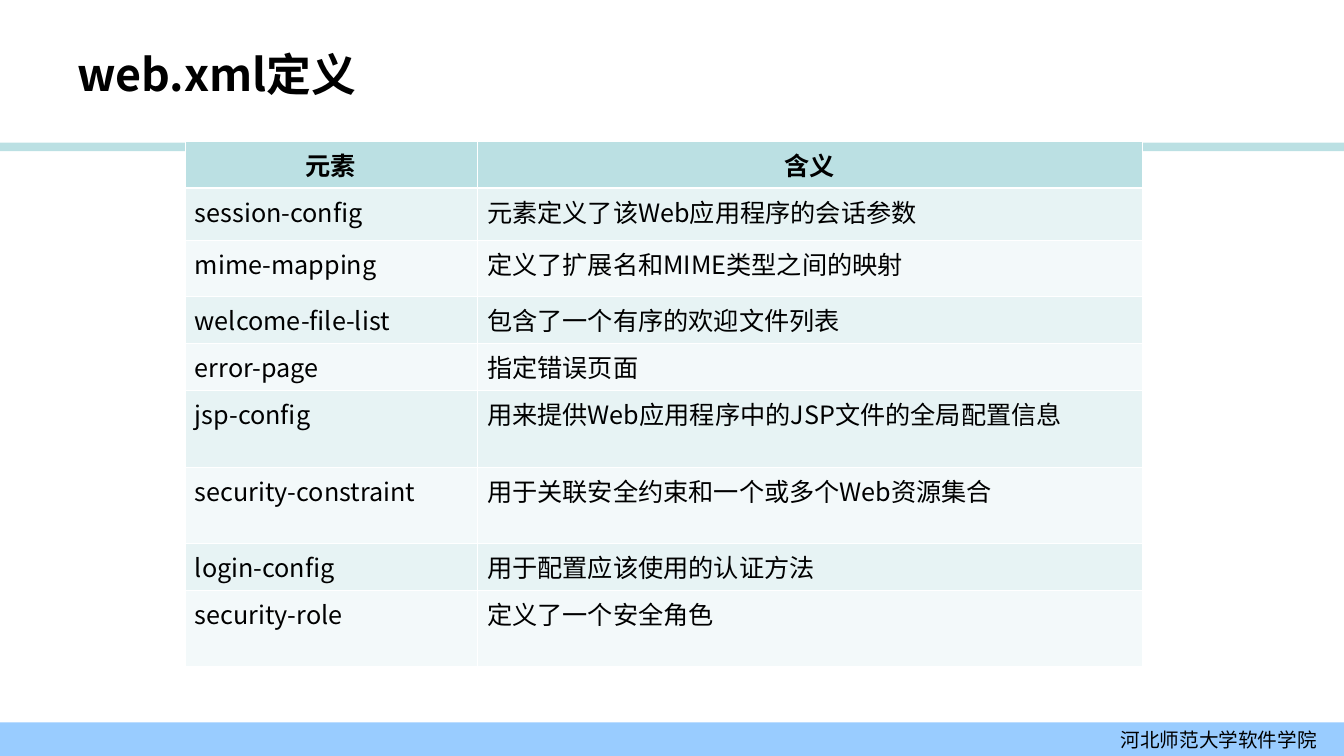
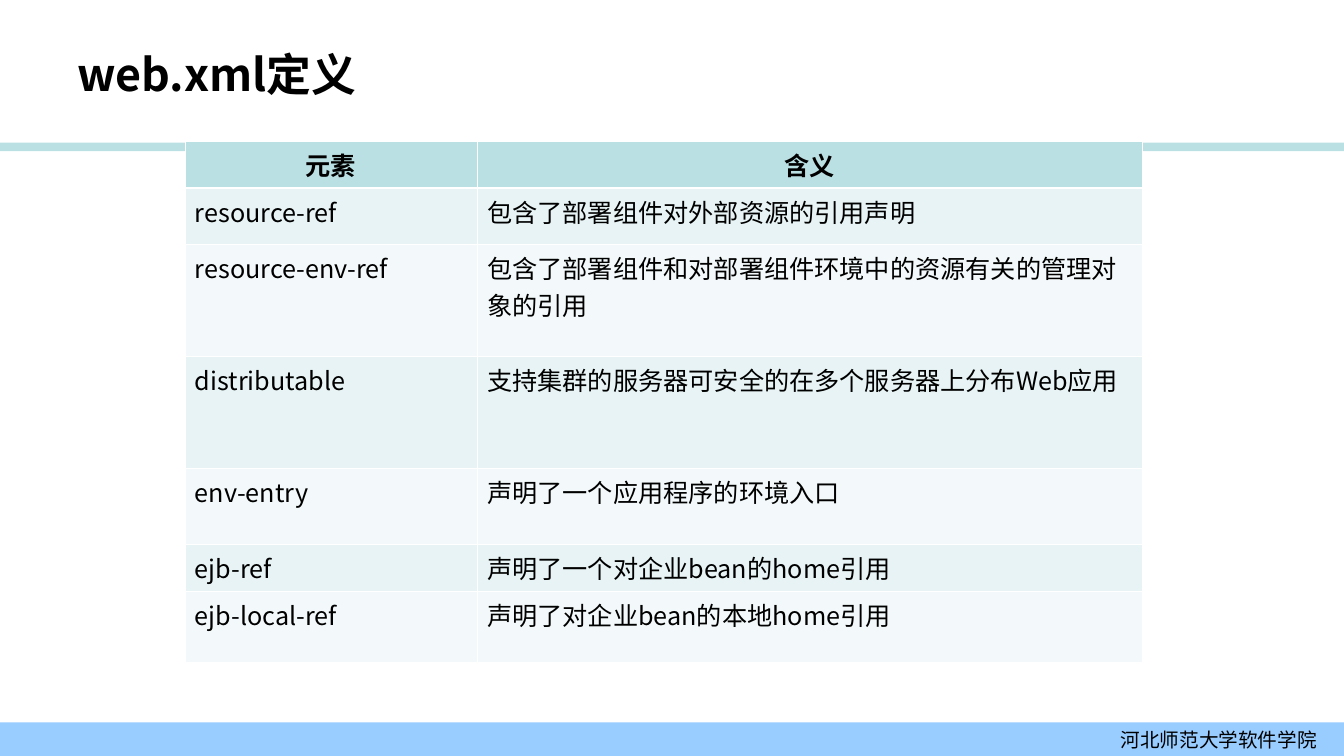
import dataclasses

import lxml.etree
import pptx
import pptx.dml.color
import pptx.enum.shapes
import pptx.enum.text
import pptx.oxml.ns
import pptx.util


@dataclasses.dataclass(frozen=True)
class Theme:
    """Colours, type sizes and grid shared by all slides."""

    font: str = "Noto Sans CJK SC"
    ink: str = "000000"
    accent: str = "BBE0E3"
    footer: str = "99CCFF"
    stripes: tuple = ("E7F3F4", "F3F9FA")
    border: str = "FFFFFF"
    thin: float = 0.45
    thick: float = 1.47
    title_size: int = 32
    body_size: int = 18
    footer_size: int = 14
    width: float = 13.34
    height: float = 7.5
    columns: int = 40
    rows: int = 45


ALIGN = pptx.enum.text.PP_ALIGN
MIDDLE = pptx.enum.text.MSO_ANCHOR.MIDDLE


def rgb(value):
    """Turn a hex string into a colour."""
    return pptx.dml.color.RGBColor.from_string(value)


class Deck:
    """Holds the style and the current slide, and draws each kind of element."""

    def __init__(self, theme):
        """Start an empty presentation of the theme's size."""
        self.theme = theme
        self.presentation = pptx.Presentation()
        self.presentation.slide_width = pptx.util.Inches(theme.width)
        self.presentation.slide_height = pptx.util.Inches(theme.height)
        self.slide = None

    def across(self, columns):
        """Measure a number of grid columns."""
        return pptx.util.Inches(self.theme.width * columns / self.theme.columns)

    def down(self, rows):
        """Measure a number of grid rows."""
        return pptx.util.Inches(self.theme.height * rows / self.theme.rows)

    def box(self, left, top, width, height):
        """Place a rectangle given in grid units."""
        return self.across(left), self.down(top), self.across(width), self.down(height)

    def label(self, frame, text, size, bold=False, align=ALIGN.LEFT):
        """Fill a text frame with one styled paragraph."""
        frame.text = text
        paragraph = frame.paragraphs[0]
        paragraph.alignment = align
        for run in paragraph.runs:
            run.font.name = self.theme.font
            run.font.size = pptx.util.Pt(size)
            run.font.bold = bold
            run.font.color.rgb = rgb(self.theme.ink)
            properties = run._r.get_or_add_rPr()
            east_asian = lxml.etree.SubElement(properties, pptx.oxml.ns.qn("a:ea"))
            east_asian.set("typeface", self.theme.font)

    def band(self, top, height, colour):
        """Draw a plain band over the full slide width."""
        band = self.slide.shapes.add_shape(
            pptx.enum.shapes.MSO_SHAPE.RECTANGLE,
            *self.box(0, top, self.theme.columns, height))
        band.shadow.inherit = False
        band.fill.solid()
        band.fill.fore_color.rgb = rgb(colour)
        band.line.fill.background()
        return band

    def footer(self, school):
        """Draw the bottom band with the school's name."""
        frame = self.band(43, 2, self.theme.footer).text_frame
        frame.vertical_anchor = MIDDLE
        frame.margin_right = self.across(0.8)
        self.label(frame, school, self.theme.footer_size, align=ALIGN.RIGHT)

    def title(self, text):
        """Set the slide title."""
        frame = self.slide.shapes.add_textbox(*self.box(2, 1.8, 32, 5.2)).text_frame
        frame.word_wrap = True
        frame.vertical_anchor = MIDDLE
        self.label(frame, text, self.theme.title_size, bold=True)

    def borders(self, cell, top, bottom):
        """Draw the four cell borders, thin at the sides."""
        thin = self.theme.thin
        properties = cell._tc.get_or_add_tcPr()
        for side, weight in zip("LRTB", (thin, thin, top, bottom)):
            line = lxml.etree.SubElement(properties, pptx.oxml.ns.qn(f"a:ln{side}"))
            line.set("w", str(int(pptx.util.Pt(weight))))
            fill = lxml.etree.SubElement(line, pptx.oxml.ns.qn("a:solidFill"))
            colour = lxml.etree.SubElement(fill, pptx.oxml.ns.qn("a:srgbClr"))
            colour.set("val", self.theme.border)

    def table(self, left, top, widths, header, elements):
        """Draw a striped table; each element is name, meaning and row height."""
        theme = self.theme
        entries = [header, *elements]
        heights = [height for *_, height in entries]
        table = self.slide.shapes.add_table(
            len(entries), len(widths),
            *self.box(left, top, sum(widths), sum(heights))).table
        table.first_row = table.horz_banding = False
        for column, width in zip(table.columns, widths):
            column.width = self.across(width)
        for index, (*texts, height) in enumerate(entries):
            table.rows[index].height = self.down(height)
            heading = index == 0
            for cell, text in zip(table.rows[index].cells, texts):
                self.borders(cell,
                             theme.thick if index == 1 else theme.thin,
                             theme.thick if heading else theme.thin)
                cell.fill.solid()
                cell.fill.fore_color.rgb = rgb(
                    theme.accent if heading else theme.stripes[(index - 1) % 2])
                self.label(cell.text_frame, text, theme.body_size, heading,
                           ALIGN.CENTER if heading else ALIGN.LEFT)

    def definitions(self, elements):
        """Add a slide that explains a set of web.xml elements."""
        blank = self.presentation.slide_layouts[6]
        self.slide = self.presentation.slides.add_slide(blank)
        self.band(8.5, 0.5, self.theme.accent)
        self.footer("河北师范大学软件学院")
        self.title("web.xml定义")
        self.table(5.5, 8.4, (8.7, 19.8), ("元素", "含义", 2.8), elements)


CONFIGURATION = (
    ("session-config", "元素定义了该Web应用程序的会话参数", 3.1),
    ("mime-mapping", "定义了扩展名和MIME类型之间的映射", 3.35),
    ("welcome-file-list", "包含了一个有序的欢迎文件列表", 2.8),
    ("error-page", "指定错误页面", 2.8),
    ("jsp-config", "用来提供Web应用程序中的JSP文件的全局配置信息", 4.55),
    ("security-constraint", "用于关联安全约束和一个或多个Web资源集合", 4.55),
    ("login-config", "用于配置应该使用的认证方法", 2.8),
    ("security-role", "定义了一个安全角色", 4.5),
)
REFERENCES = (
    ("resource-ref", "包含了部署组件对外部资源的引用声明", 3.35),
    ("resource-env-ref", "包含了部署组件和对部署组件环境中的资源有关的管理对象的引用", 6.65),
    ("distributable", "支持集群的服务器可安全的在多个服务器上分布Web应用", 6.65),
    ("env-entry", "声明了一个应用程序的环境入口", 4.55),
    ("ejb-ref", "声明了一个对企业bean的home引用", 2.8),
    ("ejb-local-ref", "声明了对企业bean的本地home引用", 4.25),
)


def main():
    """Build the slides and save them."""
    deck = Deck(Theme())
    for elements in (CONFIGURATION, REFERENCES):
        deck.definitions(elements)
    deck.presentation.save("out.pptx")


if __name__ == "__main__":
    main()
